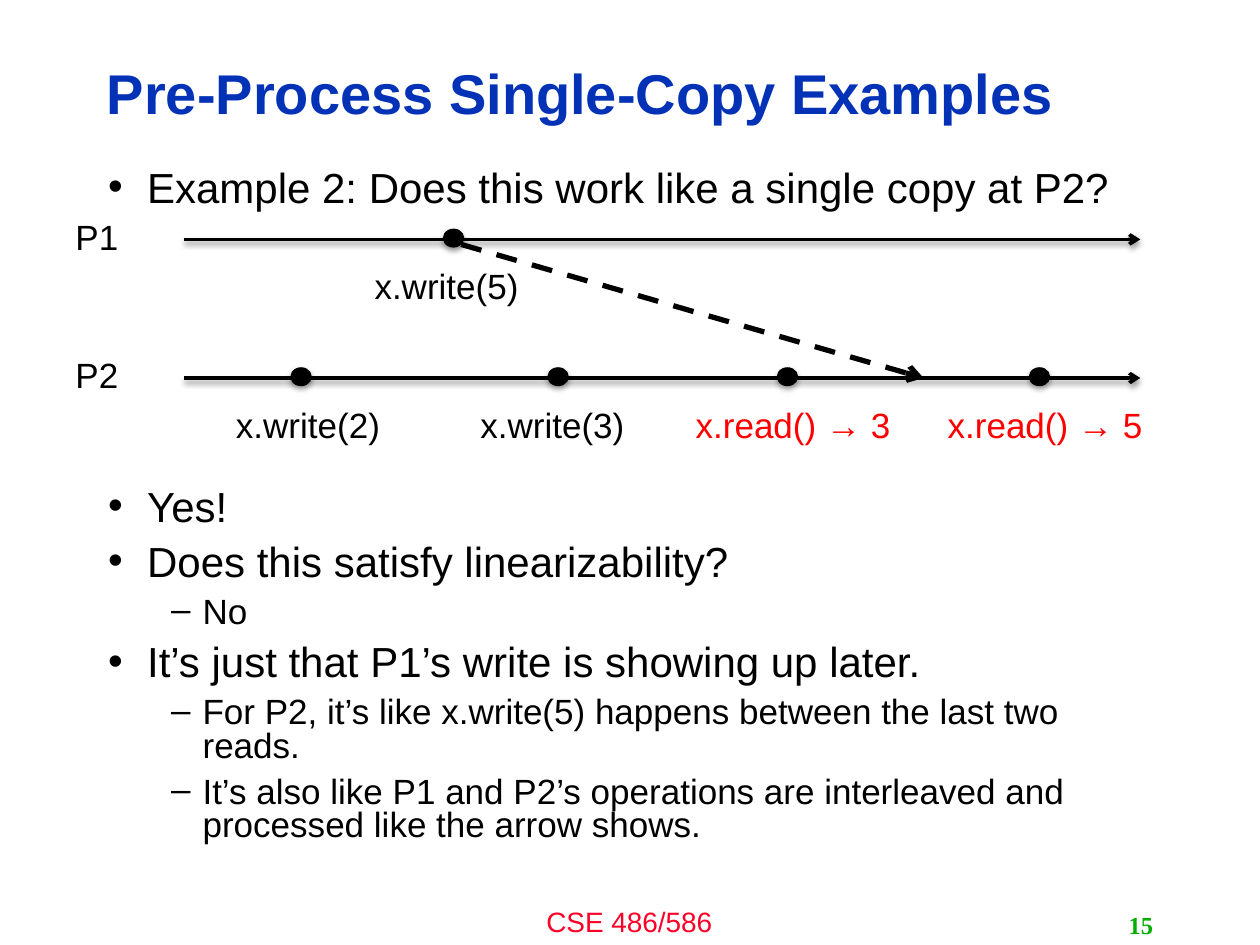
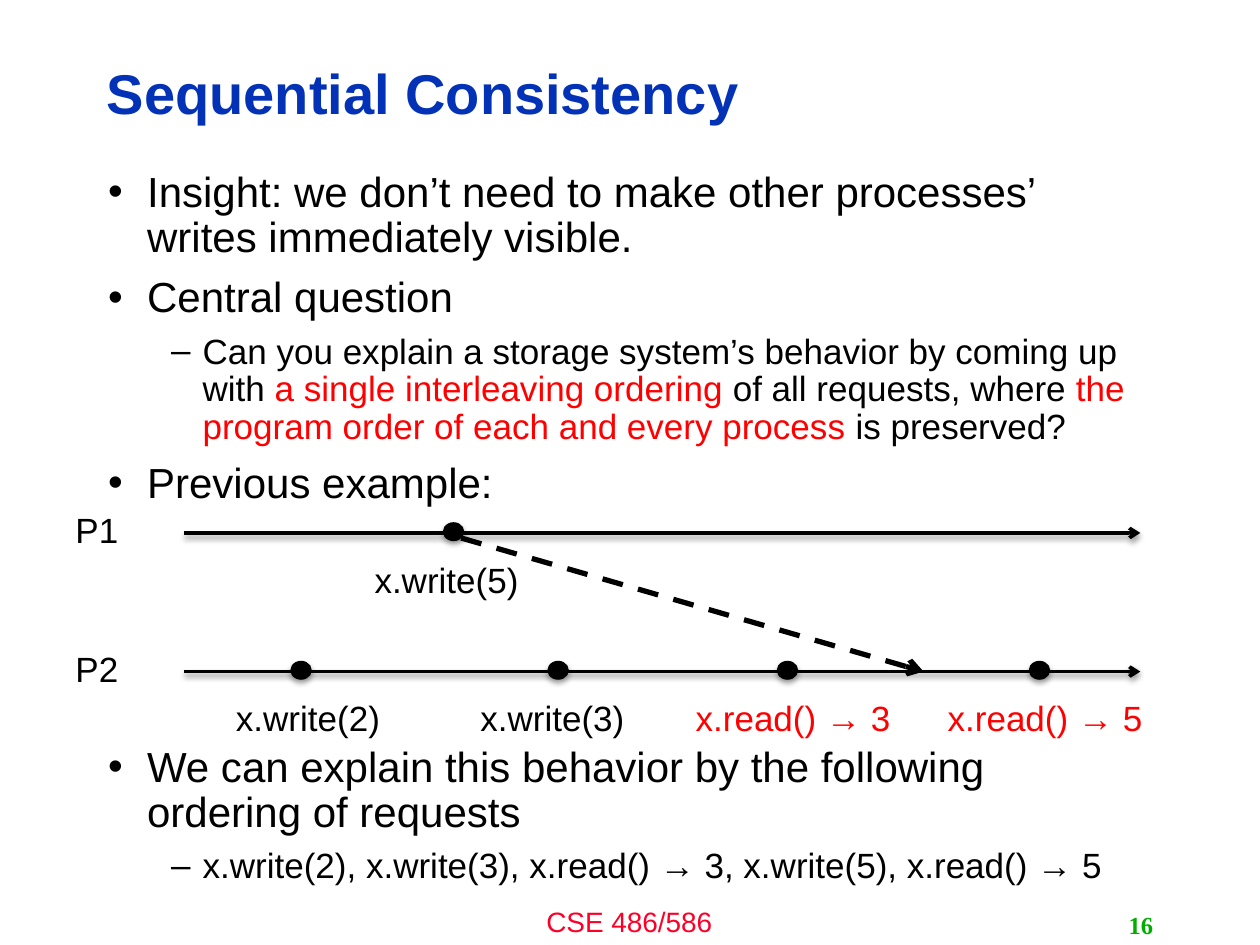
from lxml import etree
from pptx import Presentation
from pptx.dml.color import RGBColor
from pptx.enum import dml, shapes, text as tx
from pptx.oxml.ns import qn
from pptx.util import Inches, Pt

BLACK = RGBColor(0x00, 0x00, 0x00)
RED = RGBColor(0xFF, 0x00, 0x00)
BLUE = RGBColor(0x03, 0x32, 0xB7)
GREEN = RGBColor(0x00, 0xAE, 0x00)
PINK = RGBColor(0xFC, 0x01, 0x28)
LEFT, MID, RIGHT = tx.PP_ALIGN.LEFT, tx.PP_ALIGN.CENTER, tx.PP_ALIGN.RIGHT

# Bullet levels: size, left margin, hanging indent, mark
LEVELS = [(24, 0.31, 0.31, "•"), (20, 0.75, 0.25, "–")]

# Each body block: top, height, items of (level, text); bars enclose red words
PAGES = [
    dict(
        title="Pre-Process Single-Copy Examples", num="15", pitch=0.8, axis=1.9,
        blocks=[
            (1.31, 0.5, [(0, "Example 2: Does this work like a single copy at P2?")]),
            (3.84, 3.35, [
                (0, "Yes!"),
                (0, "Does this satisfy linearizability?"),
                (1, "No"),
                (0, "It’s just that P1’s write is showing up later."),
                (1, "For P2, it’s like x.write(5) happens between the last two reads."),
                (1, "It’s also like P1 and P2’s operations are interleaved and "
                    "processed like the arrow shows."),
            ]),
        ],
    ),
    dict(
        title="Sequential Consistency", num="16", pitch=0.9, axis=4.23,
        blocks=[
            (1.31, 2.75, [
                (0, "Insight: we don’t need to make other processes’ "
                    "writes immediately visible."),
                (0, "Central question"),
                (1, "Can you explain a storage system’s behavior by coming up with "
                    "|a single interleaving ordering| of all requests, where "
                    "|the program order of each and every process| is preserved?"),
                (0, "Previous example:"),
            ]),
            (5.87, 1.2, [
                (0, "We can explain this behavior by the following ordering of requests"),
                (1, "x.write(2), x.write(3), x.read() → 3, x.write(5), x.read() → 5"),
            ]),
        ],
    ),
]

# Events: row, left of dot, left of label, label, colour
EVENTS = [
    (0, 3.52, 1.83, "x.write(5)", BLACK),
    (1, 2.31, 0.73, "x.write(2)", BLACK),
    (1, 4.35, 2.67, "x.write(3)", BLACK),
    (1, 6.17, 4.58, "x.read() → 3", RED),
    (1, 8.17, 6.58, "x.read() → 5", RED),
]
ROW_GAP = 1.1


def write(slide, at, items, size=20, ink=BLACK, bold=False, font="Arial",
          align=LEFT, anchor=tx.MSO_ANCHOR.TOP, pitch=None):
    """Add a text box; items is a string or a list of (level, text) bullets."""
    frame = slide.shapes.add_textbox(*map(Inches, at)).text_frame
    frame.word_wrap = True
    frame.vertical_anchor = anchor
    if isinstance(items, str):
        items = [(None, items)]
    for i, (level, line) in enumerate(items):
        para = frame.add_paragraph() if i else frame.paragraphs[0]
        para.alignment = align
        if pitch:
            para.line_spacing = pitch
        if level is not None:
            size, left, hang, mark = LEVELS[level]
            para.level = level
            para.space_before = Pt(round(size * 0.345, 1))
            props = para._p.get_or_add_pPr()
            props.set("marL", str(Inches(left)))
            props.set("indent", str(-Inches(hang)))
            etree.SubElement(props, qn("a:buFont"), typeface="Arial")
            etree.SubElement(props, qn("a:buChar"), char=mark)
        for j, part in enumerate(line.split("|")):
            run = para.add_run()
            run.text = part
            run.font.name, run.font.size, run.font.bold = font, Pt(size), bold
            run.font.color.rgb = RED if j % 2 else ink


def stroke(slide, x1, y1, x2, y2, width):
    """Add a black arrow with an empty effect list; return it and that list."""
    arrow = slide.shapes.add_connector(
        shapes.MSO_CONNECTOR.STRAIGHT, *map(Inches, (x1, y1, x2, y2)))
    arrow.line.color.rgb = BLACK
    arrow.line.width = Pt(width)
    if width == 3:
        arrow.line.dash_style = dml.MSO_LINE.DASH
    etree.SubElement(arrow.line._get_or_add_ln(), qn("a:tailEnd"), type="arrow")
    return etree.SubElement(arrow._element.spPr, qn("a:effectLst"))


deck = Presentation()
deck.slide_width, deck.slide_height = Inches(10), Inches(7.5)

for page in PAGES:
    slide = deck.slides.add_slide(deck.slide_layouts[6])
    write(slide, (3.33, 7.13, 3.33, 0.37), "CSE 486/586", size=16, ink=PINK, align=MID)
    write(slide, (0.75, 0.36, 7.98, 0.81), page["title"], size=32, ink=BLUE,
          bold=True, anchor=tx.MSO_ANCHOR.MIDDLE, pitch=0.9)
    for top, height, items in page["blocks"]:
        write(slide, (0.76, top, 8.4, height), items, pitch=page["pitch"])
    write(slide, (7.17, 7.18, 2.08, 0.32), page["num"], size=14, ink=GREEN, bold=True,
          font="Times New Roman", align=RIGHT, anchor=tx.MSO_ANCHOR.MIDDLE)

    rows = [page["axis"], page["axis"] + ROW_GAP]
    glows = []  # effect list, opacity in percent, distance in points
    for name, y in zip(("P1", "P2"), rows):
        glows.append((stroke(slide, 1.46, y, 9.05, y, 2), 38, 1.6))
        write(slide, (0.5, y - 0.24, 0.95, 0.44), name)
    for row, x, left, label, ink in EVENTS:
        y = rows[row]
        dot = slide.shapes.add_shape(
            shapes.MSO_SHAPE.OVAL, *map(Inches, (x, y - 0.08, 0.16, 0.14)))
        dot.fill.solid()
        dot.fill.fore_color.rgb = dot.line.color.rgb = BLACK
        dot.line.width = Pt(0.75)
        dot.shadow.inherit = False
        glows.append((dot._element.spPr.find(qn("a:effectLst")), 35, 1.8))
        write(slide, (left, y + 0.15, 3.43, 0.44), label, ink=ink, align=MID)
    for effects, alpha, dist in glows:
        glow = etree.SubElement(
            effects, qn("a:outerShdw"), blurRad=str(Pt(3.1)), dist=str(Pt(dist)),
            dir="5400000", rotWithShape="0")
        tint = etree.SubElement(glow, qn("a:srgbClr"), val=str(BLACK))
        etree.SubElement(tint, qn("a:alpha"), val=str(alpha * 1000))
    stroke(slide, 3.66, rows[0] + 0.04, 7.33, rows[1], 3)

deck.save("out.pptx")
